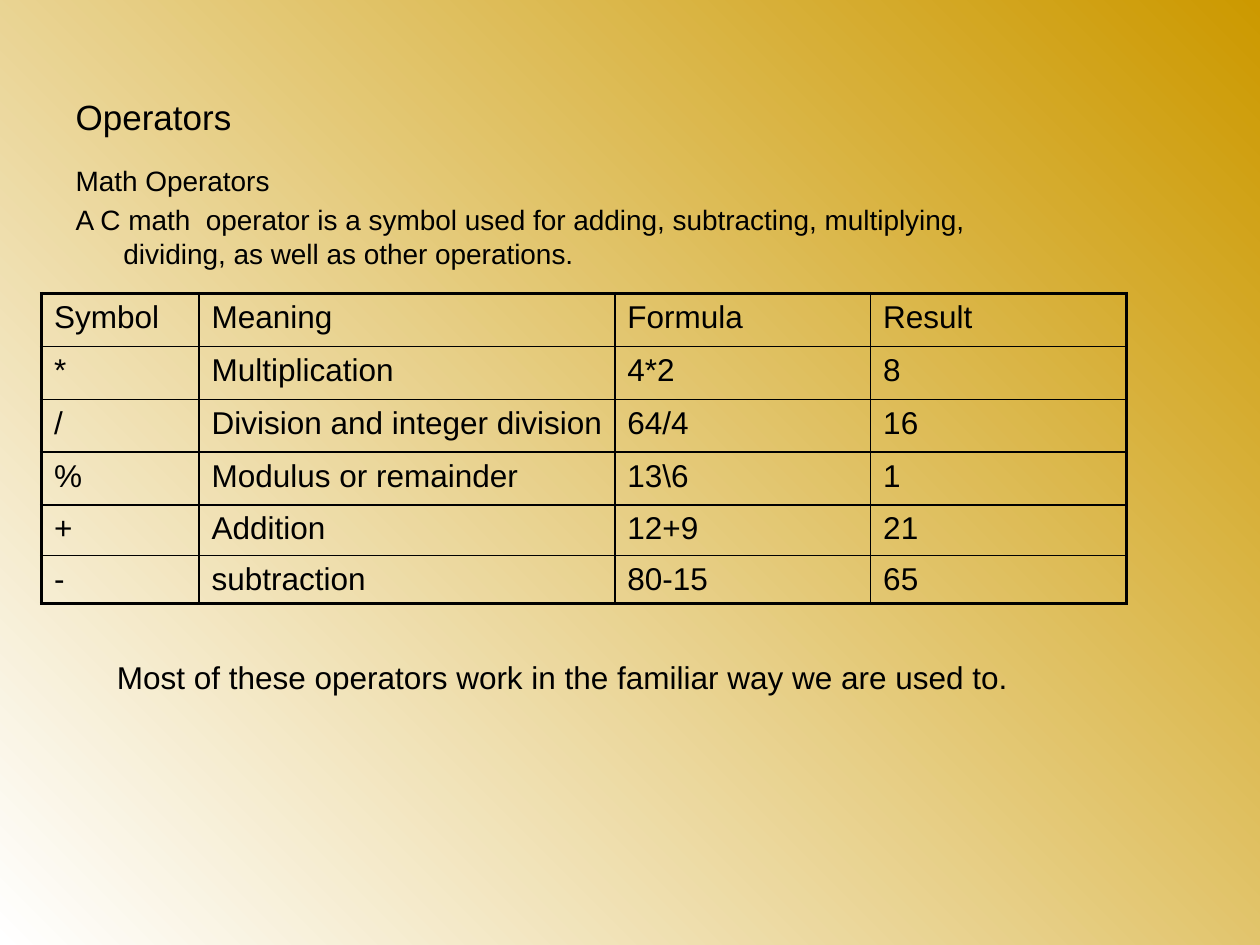
from lxml import etree
from pptx import Presentation
from pptx.dml.color import RGBColor
from pptx.enum.text import MSO_ANCHOR, MSO_AUTO_SIZE, PP_ALIGN
from pptx.oxml.ns import qn
from pptx.util import Inches, Pt

LEFT = PP_ALIGN.LEFT
MIDDLE, TOP = MSO_ANCHOR.MIDDLE, MSO_ANCHOR.TOP
NO_FIT = MSO_AUTO_SIZE.NONE
COLORS = {"ink": "000000", "light": "FFFFFF", "gold": "CC9900"}
FONT = "Arial"


def write(para, text, size):
    para.alignment = LEFT
    span = para.add_run()
    span.text = text
    span.font.name = FONT
    span.font.size = Pt(size)
    span.font.color.rgb = RGBColor.from_string(COLORS["ink"])


def add_border(cell, tag, width):
    line = etree.SubElement(cell._tc.get_or_add_tcPr(), qn(tag), w=str(Pt(width)))
    fill = etree.SubElement(line, qn("a:solidFill"))
    etree.SubElement(fill, qn("a:srgbClr"), val=COLORS["ink"])


deck = Presentation()
deck.slide_width, deck.slide_height = Inches(10), Inches(7.5)
page = deck.slides.add_slide(deck.slide_layouts[1])

# Background: white at bottom left to gold at top right
background = page.background.fill
background.gradient()
background.gradient_angle = 45
for stop, name in zip(background.gradient_stops, ("light", "gold")):
    stop.color.rgb = RGBColor.from_string(COLORS[name])

# Title
title = page.shapes.title
title.left, title.top = Inches(0.5), Inches(0.3)
title.width, title.height = Inches(9), Inches(1.25)
title.text_frame.vertical_anchor = MIDDLE
title.text_frame.auto_size = NO_FIT
write(title.text_frame.paragraphs[0], "Operators", 20)

# Introduction with hanging indents
body = page.placeholders[1]
body.left, body.top = Inches(0.5), Inches(1.25)
body.width, body.height = Inches(7.58), Inches(1.17)
body.text_frame.vertical_anchor = TOP
body.text_frame.auto_size = NO_FIT
intro = [
    "Math Operators",
    "A C math  operator is a symbol used for adding, subtracting, "
    "multiplying, dividing, as well as other operations.",
]
for index, text in enumerate(intro):
    para = body.text_frame.paragraphs[0] if index == 0 else body.text_frame.add_paragraph()
    properties = para._p.get_or_add_pPr()
    properties.set("marL", str(Inches(0.38)))
    properties.set("indent", str(-Inches(0.38)))
    etree.SubElement(properties, qn("a:buNone"))
    para.space_before = Pt(3.2 if index else 0)
    write(para, text, 16)

# Operator table
rows = [
    ("Symbol", "Meaning", "Formula", "Result"),
    ("*", "Multiplication", "4*2", "8"),
    ("/", "Division and integer division", "64/4", "16"),
    ("%", "Modulus or remainder", "13\\6", "1"),
    ("+", "Addition", "12+9", "21"),
    ("-", "subtraction", "80-15", "65"),
]
column_widths = [1.25, 3.3, 2.03, 2.03]
row_heights = [0.42] * 4 + [0.4, 0.33]
last_row, last_column = len(rows) - 1, len(column_widths) - 1
table = page.shapes.add_table(
    len(rows), len(column_widths), Inches(0.33), Inches(2.33),
    Inches(sum(column_widths)), Inches(sum(row_heights)),
).table
table.first_row = table.horz_banding = False
for column, width in zip(table.columns, column_widths):
    column.width = Inches(width)
for row, height in zip(table.rows, row_heights):
    row.height = Inches(height)

for r, values in enumerate(rows):
    for c, value in enumerate(values):
        cell = table.cell(r, c)
        write(cell.text_frame.paragraphs[0], value, 18)
        # Thick outer frame, thin inner rules
        outer_sides = {
            "a:lnL": c == 0,
            "a:lnR": c == last_column,
            "a:lnT": r == 0,
            "a:lnB": r == last_row,
        }
        for tag, is_outer in outer_sides.items():
            add_border(cell, tag, 2.25 if is_outer else 1)
        cell.fill.background()

# Closing remark
remark = page.shapes.add_textbox(Inches(0.83), Inches(5.17), Inches(8), Inches(0.4))
remark.text_frame.word_wrap = True
write(
    remark.text_frame.paragraphs[0],
    "Most of these operators work in the familiar way we are used to.", 18,
)

deck.save("out.pptx")
